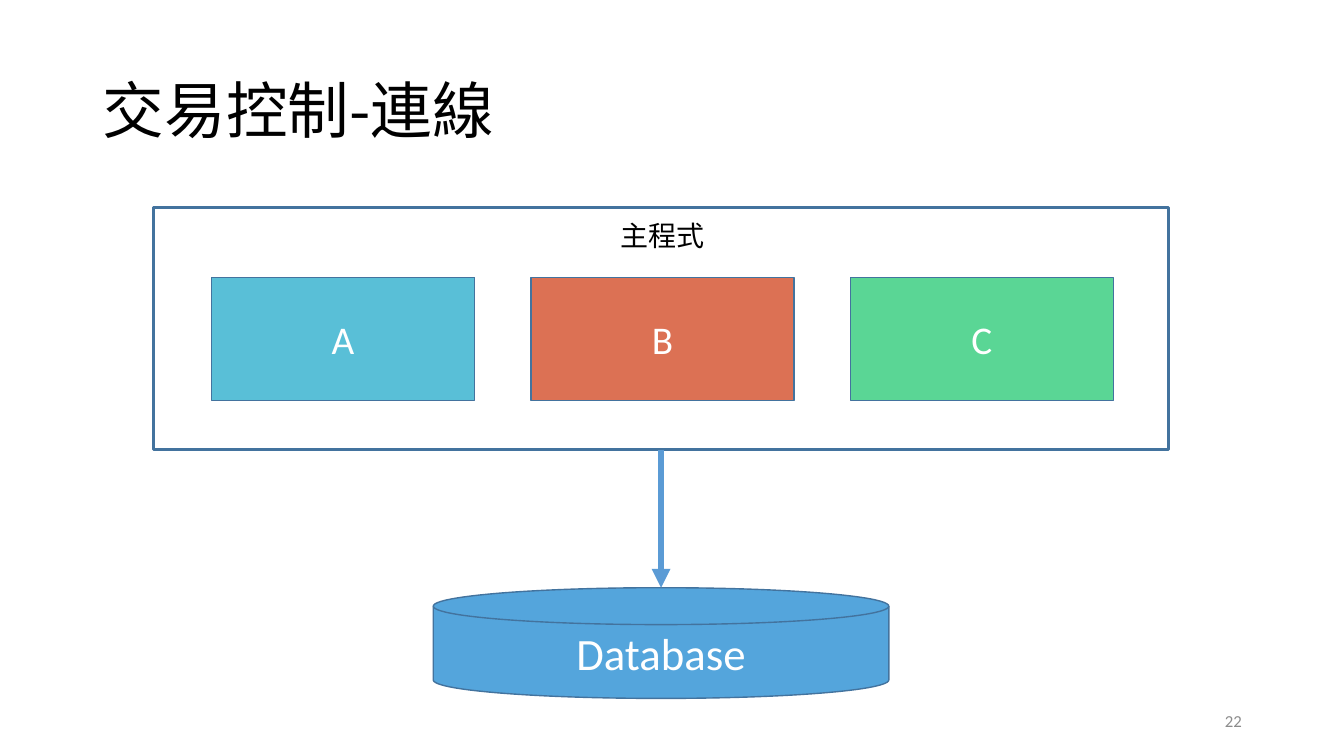
"""Build the transaction control slide about one database connection."""
from lxml.etree import SubElement
from pptx import Presentation
from pptx.dml.color import RGBColor
from pptx.enum.shapes import MSO_CONNECTOR, MSO_SHAPE
from pptx.enum.text import MSO_ANCHOR, MSO_AUTO_SIZE, PP_ALIGN
from pptx.oxml.ns import qn
from pptx.util import Cm, Pt

BLACK = RGBColor(0x00, 0x00, 0x00)
WHITE = RGBColor(0xFF, 0xFF, 0xFF)
GREY = RGBColor(0x8C, 0x8C, 0x8C)
OUTLINE = RGBColor(0x43, 0x73, 0x9E)
ARROW = RGBColor(0x5B, 0x9B, 0xD5)
DATABASE = RGBColor(0x54, 0xA5, 0xDC)
MODULES = {
    "A": RGBColor(0x59, 0xBF, 0xD7),
    "B": RGBColor(0xDC, 0x71, 0x54),
    "C": RGBColor(0x5A, 0xD6, 0x95),
}
LATIN_FONT = "Calibri"
CHINESE_FONT = "Noto Sans CJK SC"


def write(shape, text, size, color, font=LATIN_FONT, align=PP_ALIGN.CENTER,
          anchor=MSO_ANCHOR.MIDDLE):
    """Put one formatted line of text into a shape."""
    frame = shape.text_frame
    frame.text = text
    frame.vertical_anchor = anchor
    para = frame.paragraphs[0]
    para.alignment = align
    span = para.runs[0]
    span.font.size = Pt(size)
    span.font.name = font
    span.font.color.rgb = color
    if font == CHINESE_FONT:
        SubElement(span.font._element, qn("a:ea")).set("typeface", font)
    return para


def add_title(page, text):
    """Place and fill the title placeholder."""
    title = page.shapes.title
    title.left, title.top = Cm(2.34), Cm(1.02)
    title.width, title.height = Cm(29.21), Cm(3.68)
    para = write(title, text, 44, BLACK, CHINESE_FONT, PP_ALIGN.LEFT)
    para.line_spacing = 0.9
    title.text_frame.auto_size = MSO_AUTO_SIZE.NONE


def add_box(page, kind, left, top, width, height, fill=None, line_width=1):
    """Add an outlined shape, hollow unless a fill is given."""
    box = page.shapes.add_shape(kind, Cm(left), Cm(top), Cm(width), Cm(height))
    box.shadow.inherit = False
    if fill is None:
        box.fill.background()
    else:
        box.fill.solid()
        box.fill.fore_color.rgb = fill
    box.line.color.rgb = OUTLINE
    box.line.width = Pt(line_width)
    return box


def add_label(page, text, left, top, width, height, size, color, **style):
    """Add a text box with one line of text."""
    label = page.shapes.add_textbox(Cm(left), Cm(top), Cm(width), Cm(height))
    label.text_frame.word_wrap = True
    write(label, text, size, color, **style)
    return label


def add_arrow(page, x, top, bottom):
    """Add a thick arrow pointing straight down."""
    arrow = page.shapes.add_connector(
        MSO_CONNECTOR.STRAIGHT, Cm(x), Cm(top), Cm(x), Cm(bottom))
    arrow.line.color.rgb = ARROW
    arrow.line.width = Pt(4.5)
    properties = arrow._element.spPr
    SubElement(properties.find(qn("a:ln")), qn("a:tailEnd")).set("type", "triangle")
    SubElement(properties, qn("a:effectLst"))


def main():
    """Build and save the slide."""
    deck = Presentation()
    deck.slide_width, deck.slide_height = Cm(33.87), Cm(19.05)
    page = deck.slides.add_slide(deck.slide_layouts[5])
    add_title(page, "交易控制-連線")

    for index, (name, color) in enumerate(MODULES.items()):
        module = add_box(page, MSO_SHAPE.FLOWCHART_PROCESS,
                         5.33 + 8.05 * index, 6.99, 6.63, 3.1, color)
        write(module, name, 28, WHITE)

    add_box(page, MSO_SHAPE.RECTANGLE, 3.86, 5.23, 25.6, 6.1, line_width=2.25)
    database = add_box(page, MSO_SHAPE.FLOWCHART_MAGNETIC_DISK,
                       10.92, 14.81, 11.48, 2.79, DATABASE)
    write(database, "Database", 32, WHITE)
    add_arrow(page, 16.66, 11.33, 14.81)

    program = add_label(page, "主程式", 15.39, 5.38, 2.67, 1.12, 20, BLACK,
                        font=CHINESE_FONT, align=PP_ALIGN.LEFT, anchor=MSO_ANCHOR.TOP)
    program.text_frame.auto_size = MSO_AUTO_SIZE.SHAPE_TO_FIT_TEXT
    add_label(page, "22", 23.93, 17.65, 7.62, 1.02, 12, GREY, align=PP_ALIGN.RIGHT)
    deck.save("out.pptx")


if __name__ == "__main__":
    main()
